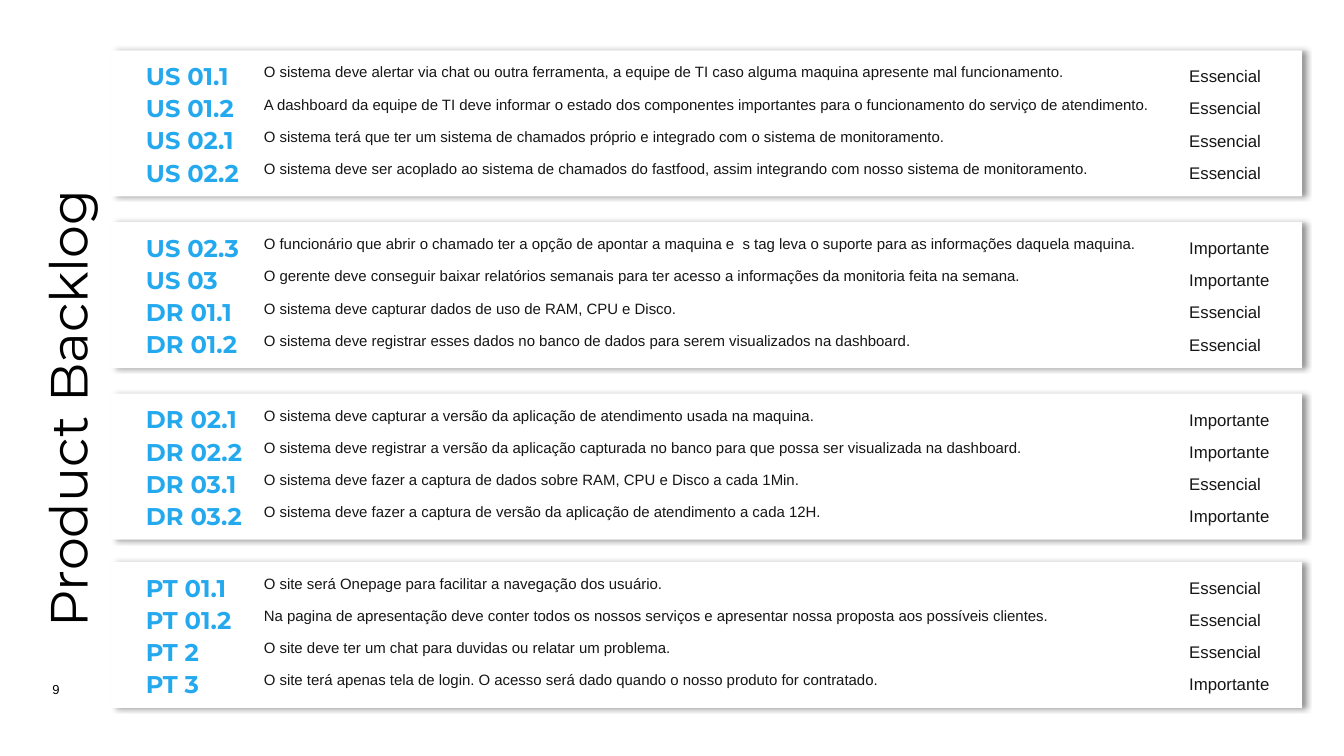
from dataclasses import dataclass

import lxml.etree
import pptx
import pptx.dml.color
import pptx.enum.shapes
import pptx.enum.text
import pptx.oxml.ns
import pptx.util

Cm = pptx.util.Cm
Anchor = pptx.enum.text.MSO_ANCHOR

CARD_LEFT, CARD_WIDTH, CARD_HEIGHT = 2.79, 30.02, 3.68
ROW_PITCH = 0.81
INSET = 0.33


@dataclass(frozen=True)
class TextStyle:
    size: float
    font: str
    color: str
    bold: bool = False
    anchor: Anchor = Anchor.TOP


@dataclass(frozen=True)
class Column:
    """Place of one column; offset is measured from the top of the card."""
    left: float
    offset: float
    width: float
    height: float
    style: TextStyle


@dataclass(frozen=True)
class Requirement:
    code: str
    description: str
    priority: str


@dataclass(frozen=True)
class Card:
    top: float
    requirements: tuple[Requirement, ...]


TITLE_STYLE = TextStyle(37.3, "Montserrat", "000000", anchor=Anchor.BOTTOM)
NUMBER_STYLE = TextStyle(9.3, "Arial", "000000", anchor=Anchor.MIDDLE)
CODE = Column(3.35, 0.35, 3.71, 0.99,
              TextStyle(17.3, "Montserrat", "25A9EE", True, Anchor.BOTTOM))
DESCRIPTION = Column(6.32, 0.09, 23.14, 0.99, TextStyle(10.7, "Arial", "161616"))
PRIORITY = Column(29.64, 0.14, 2.82, 0.81, TextStyle(12, "Arial", "161616"))

CARDS = (
    Card(1.27, (
        Requirement("US 01.1", "O sistema deve alertar via chat ou outra ferramenta, a equipe de TI caso alguma maquina apresente mal funcionamento.", "Essencial"),
        Requirement("US 01.2", "A dashboard da equipe de TI deve informar o estado dos componentes importantes para o funcionamento do serviço de atendimento.", "Essencial"),
        Requirement("US 02.1", "O sistema terá que ter um sistema de chamados próprio e integrado com o sistema de monitoramento.", "Essencial"),
        Requirement("US 02.2", "O sistema deve ser acoplado ao sistema de chamados do fastfood, assim integrando com nosso sistema de monitoramento.", "Essencial"),
    )),
    Card(5.6, (
        Requirement("US 02.3", "O funcionário que abrir o chamado ter a opção de apontar a maquina e  s tag leva o suporte para as informações daquela maquina.", "Importante"),
        Requirement("US 03", "O gerente deve conseguir baixar relatórios semanais para ter acesso a informações da monitoria feita na semana.", "Importante"),
        Requirement("DR 01.1", "O sistema deve capturar dados de uso de RAM, CPU e Disco.", "Essencial"),
        Requirement("DR 01.2", "O sistema deve registrar esses dados no banco de dados para serem visualizados na dashboard.", "Essencial"),
    )),
    Card(9.92, (
        Requirement("DR 02.1", "O sistema deve capturar a versão da aplicação de atendimento usada na maquina.", "Importante"),
        Requirement("DR 02.2", "O sistema deve registrar a versão da aplicação capturada no banco para que possa ser visualizada na dashboard.", "Importante"),
        Requirement("DR 03.1", "O sistema deve fazer a captura de dados sobre RAM, CPU e Disco a cada 1Min.", "Essencial"),
        Requirement("DR 03.2", "O sistema deve fazer a captura de versão da aplicação de atendimento a cada 12H.", "Importante"),
    )),
    Card(14.16, (
        Requirement("PT 01.1", "O site será Onepage para facilitar a navegação dos usuário.", "Essencial"),
        Requirement("PT 01.2", "Na pagina de apresentação deve conter todos os nossos serviços e apresentar nossa proposta aos possíveis clientes.", "Essencial"),
        Requirement("PT 2", "O site deve ter um chat para duvidas ou relatar um problema.", "Essencial"),
        Requirement("PT 3", "O site terá apenas tela de login. O acesso será dado quando o nosso produto for contratado.", "Importante"),
    )),
)


def rgb(color: str) -> pptx.dml.color.RGBColor:
    return pptx.dml.color.RGBColor.from_string(color)


def add_text(slide, text: str, left: float, top: float, width: float,
             height: float, style: TextStyle, rotation: float = 0) -> None:
    shape = slide.shapes.add_textbox(Cm(left), Cm(top), Cm(width), Cm(height))
    shape.rotation = rotation
    frame = shape.text_frame
    frame.word_wrap = True
    frame.vertical_anchor = style.anchor
    frame.margin_left = frame.margin_right = Cm(INSET)
    frame.margin_top = frame.margin_bottom = Cm(INSET)
    run = frame.paragraphs[0].add_run()
    run.text = text
    run.font.size = pptx.util.Pt(style.size)
    run.font.name = style.font
    run.font.bold = style.bold
    run.font.color.rgb = rgb(style.color)


def add_side_shadow(shape) -> None:
    """Give the shape a soft black shadow to its right."""
    shape.shadow.inherit = False
    qn = pptx.oxml.ns.qn
    effects = shape.element.spPr.find(qn("a:effectLst"))
    shadow = lxml.etree.SubElement(
        effects, qn("a:outerShdw"), blurRad=str(pptx.util.Pt(4)),
        dist=str(pptx.util.Pt(3)), dir="0", algn="l", rotWithShape="0")
    color = lxml.etree.SubElement(shadow, qn("a:srgbClr"), val="000000")
    lxml.etree.SubElement(color, qn("a:alpha"), val="40000")


def add_card(slide, card: Card) -> None:
    panel = slide.shapes.add_shape(
        pptx.enum.shapes.MSO_SHAPE.RECTANGLE,
        Cm(CARD_LEFT), Cm(card.top), Cm(CARD_WIDTH), Cm(CARD_HEIGHT))
    panel.fill.solid()
    panel.fill.fore_color.rgb = rgb("FFFFFF")
    panel.line.fill.background()
    add_side_shadow(panel)
    for row, requirement in enumerate(card.requirements):
        row_top = card.top + row * ROW_PITCH
        for column, text in ((CODE, requirement.code),
                             (DESCRIPTION, requirement.description),
                             (PRIORITY, requirement.priority)):
            add_text(slide, text, column.left, row_top + column.offset,
                     column.width, column.height, column.style)


def main() -> None:
    presentation = pptx.Presentation()
    presentation.slide_width = Cm(33.87)
    presentation.slide_height = Cm(19.05)
    slide = presentation.slides.add_slide(presentation.slide_layouts[6])
    add_text(slide, "9", 0.99, 17.09, 1.19, 0.58, NUMBER_STYLE)
    add_text(slide, "Product Backlog", -5.16, 8.18, 14.17, 1.75, TITLE_STYLE, 270)
    for card in CARDS:
        add_card(slide, card)
    presentation.save("out.pptx")


if __name__ == "__main__":
    main()
